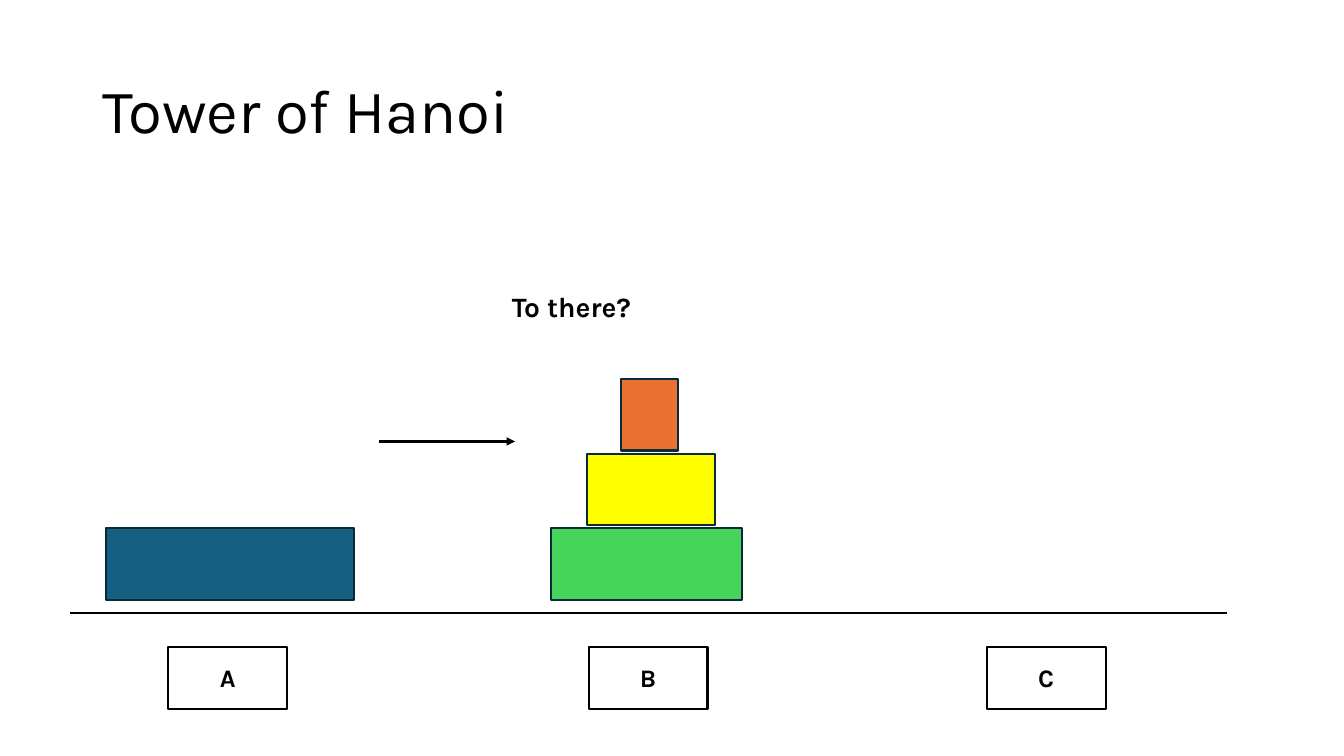
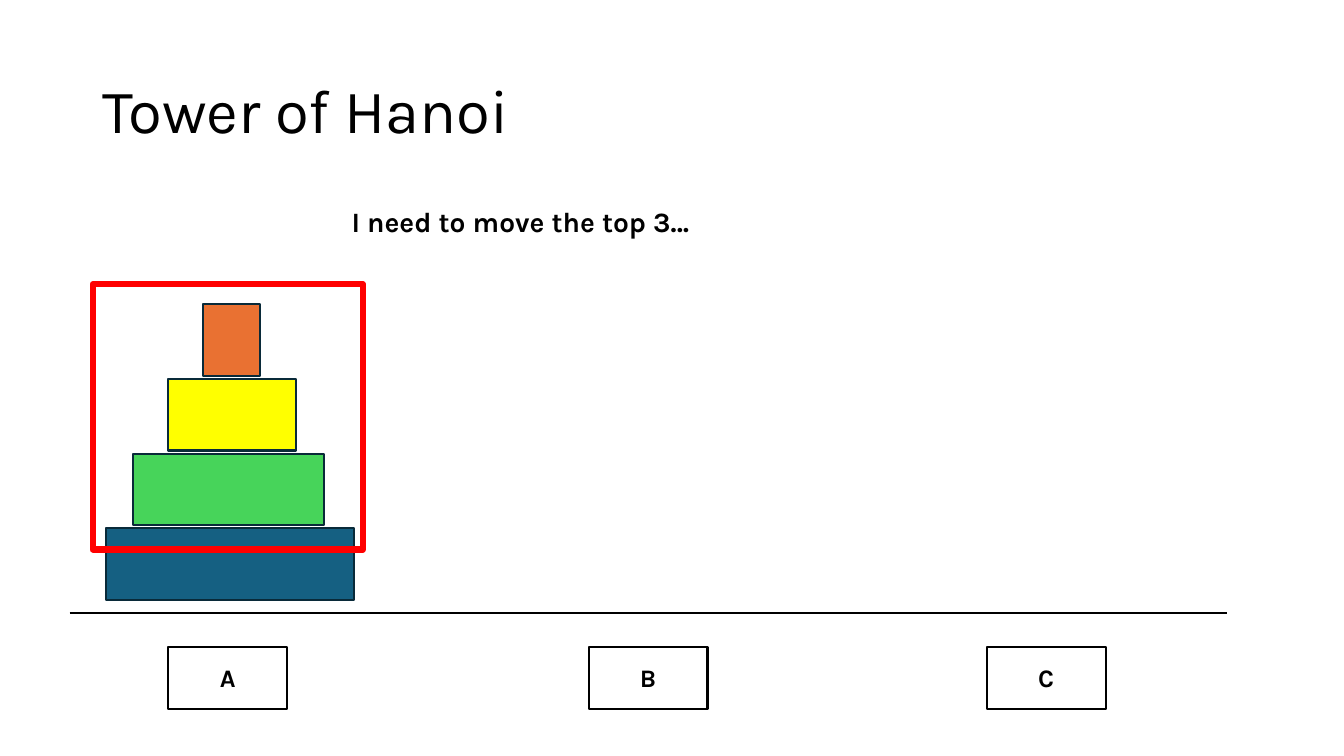
from lxml import etree
from pptx import Presentation
from pptx import util as u
from pptx.dml.color import RGBColor
from pptx.enum import shapes, text
from pptx.oxml import ns

SLIDE_WIDTH, SLIDE_HEIGHT = u.Inches(13.33), u.Inches(7.5)
FONT = "Karla"
BLACK, WHITE, RED, DISK_EDGE = "000000", "FFFFFF", "FF0000", "092A39"
THIN, THICK = 1.5, 4.5

# Places and sizes are percentages of the slide's width and height.
TITLE_AREA = (6.9, 5.33, 86.25, 19.33)
CAPTION_HEIGHT = 5.87
GROUND = (5.18, 91.28, 81.07)
PEG_LEFTS = {"A": 12.52, "B": 43.8, "C": 73.42}
PEG_TOP, PEG_WIDTH, PEG_HEIGHT = 85.6, 8.85, 8.13
TOWER_LEFTS = {"A": 7.88, "B": 39}
LOWEST_DISK_TOP, DISK_HEIGHT, DISK_STEP = 69.87, 9.47, 9.87
# Each disk: inset from the tower's left edge, width, colour.
DISKS = {
    "blue": (0, 18.45, "156082"),
    "green": (2.02, 14.18, "47D45A"),
    "yellow": (4.65, 9.52, "FFFF00"),
    "orange": (7.2, 4.28, "E97132"),
}


def color(code):
    return RGBColor.from_string(code)


def place(*shares):
    """Turn alternating horizontal and vertical percentages into lengths."""
    sides = (SLIDE_WIDTH, SLIDE_HEIGHT) * 2
    return [u.Emu(round(side * share / 100)) for side, share in zip(sides, shares)]


def write(para, words, size, bold=False):
    span = para.add_run()
    span.text = words
    span.font.name = FONT
    span.font.size = u.Pt(size)
    span.font.bold = bold
    span.font.color.rgb = color(BLACK)


def add_text(page, area, words, size, bold=False, anchor=text.MSO_ANCHOR.TOP):
    frame = page.shapes.add_textbox(*place(*area)).text_frame
    frame.word_wrap = True
    frame.vertical_anchor = anchor
    para = frame.paragraphs[0]
    write(para, words, size, bold)
    return para


def add_caption(page, left, top, width, words):
    add_text(page, (left, top, width, CAPTION_HEIGHT), words, 20, bold=True)


def add_box(page, area, edge, fill=None, weight=THIN):
    box = page.shapes.add_shape(shapes.MSO_SHAPE.RECTANGLE, *place(*area))
    box.shadow.inherit = False
    if fill:
        box.fill.solid()
        box.fill.fore_color.rgb = color(fill)
    else:
        box.fill.background()
    box.line.color.rgb = color(edge)
    box.line.width = u.Pt(weight)
    return box


def add_level_line(page, left, right, height, arrow=False):
    line = page.shapes.add_connector(
        shapes.MSO_CONNECTOR.STRAIGHT, *place(left, height, right, height))
    line.line.color.rgb = color(BLACK)
    line.line.width = u.Pt(THIN)
    if arrow:
        etree.SubElement(line.line._get_or_add_ln(), ns.qn("a:tailEnd"), type="triangle")
    etree.SubElement(line._element.spPr, ns.qn("a:effectLst"))


def add_peg(page, letter):
    area = (PEG_LEFTS[letter], PEG_TOP, PEG_WIDTH, PEG_HEIGHT)
    frame = add_box(page, area, BLACK, WHITE).text_frame
    frame.vertical_anchor = text.MSO_ANCHOR.MIDDLE
    para = frame.paragraphs[0]
    para.alignment = text.PP_ALIGN.CENTER
    write(para, letter, 18, bold=True)


def add_tower(page, peg, names):
    """Stack the named disks on a peg, lowest first."""
    for level, name in enumerate(names):
        inset, width, fill = DISKS[name]
        top = LOWEST_DISK_TOP - level * DISK_STEP
        add_box(page, (TOWER_LEFTS[peg] + inset, top, width, DISK_HEIGHT), DISK_EDGE, fill)


def add_puzzle_page(deck, towers):
    page = deck.slides.add_slide(deck.slide_layouts[6])
    title = add_text(page, TITLE_AREA, "Tower of Hanoi", 44, anchor=text.MSO_ANCHOR.MIDDLE)
    title.line_spacing = 0.9
    for peg, names in towers.items():
        add_tower(page, peg, names)
    add_level_line(page, *GROUND)
    for letter in PEG_LEFTS:
        add_peg(page, letter)
    return page


def main():
    deck = Presentation()
    deck.slide_width, deck.slide_height = SLIDE_WIDTH, SLIDE_HEIGHT
    largest, *top_three = DISKS

    moved = add_puzzle_page(deck, {"A": [largest], "B": top_three})
    add_caption(moved, 37.35, 37.6, 33.6, "To there?")
    add_level_line(moved, 28.2, 38.32, 58.4, arrow=True)

    start = add_puzzle_page(deck, {"A": [largest, *top_three]})
    add_caption(start, 25.42, 26.4, 51.45, "I need to move the top 3…")
    add_box(start, (6.9, 37.6, 20.1, 35.07), RED, weight=THICK)

    deck.save("out.pptx")


if __name__ == "__main__":
    main()
